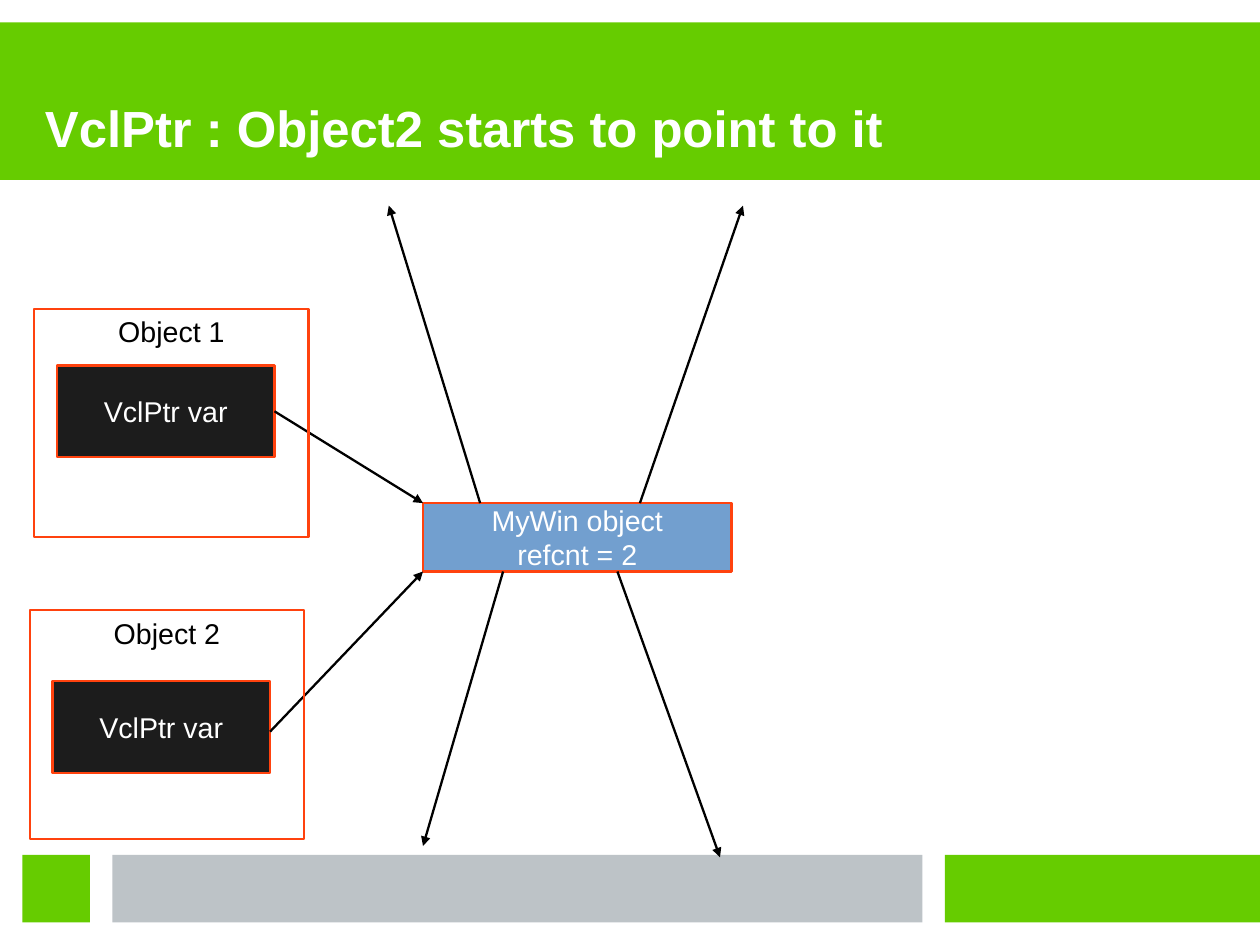
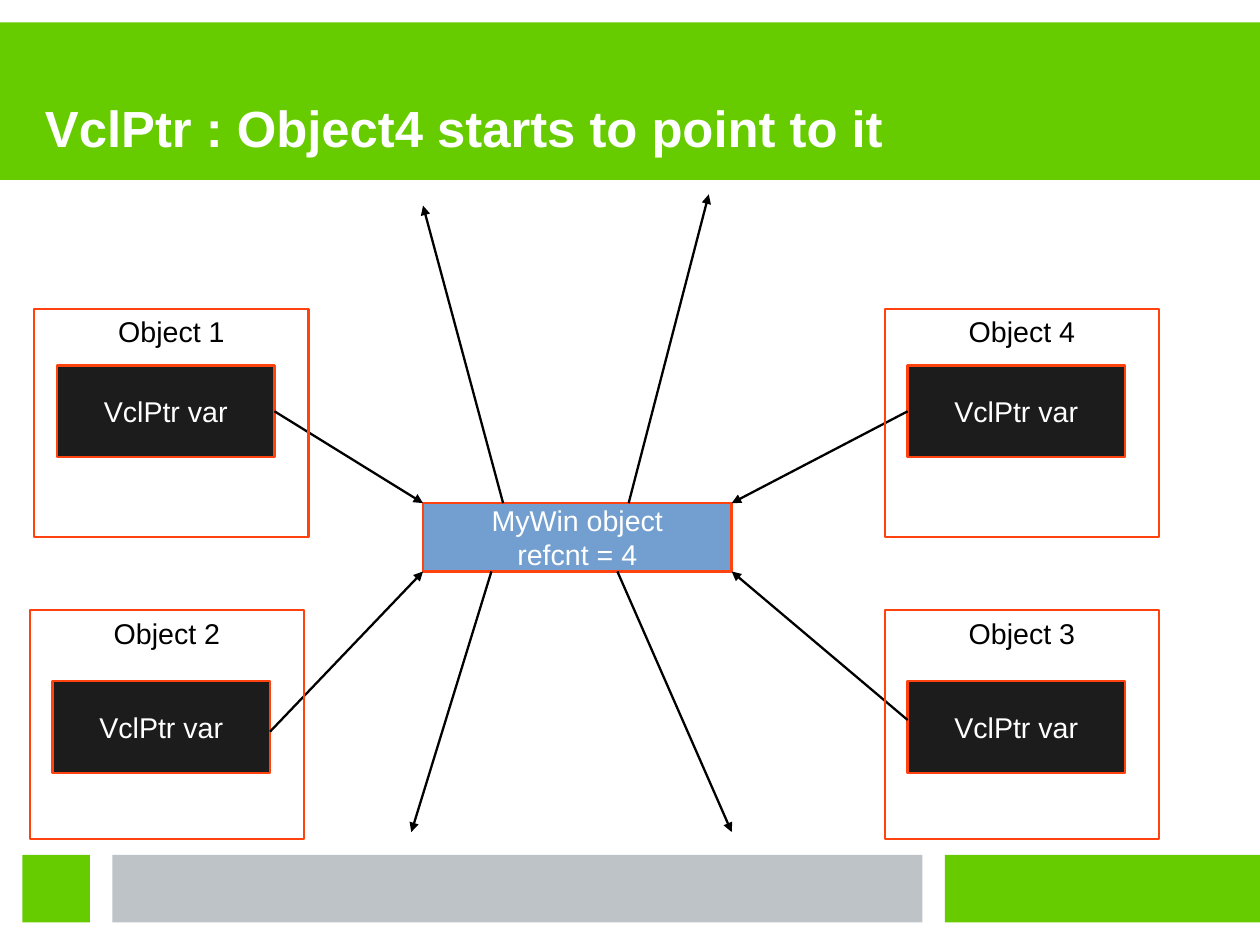
from lxml import etree
from pptx import Presentation
from pptx import util as u
from pptx.dml.color import RGBColor
from pptx.enum import shapes, text
from pptx.oxml.ns import qn

PX = 3600  # one tenth of a millimetre in EMU
COLORS = {"green": "66CC00", "grey": "BDC3C7", "blue": "729FCF", "dark": "1C1C1C",
          "orange": "FF420E", "white": "FFFFFF", "black": "000000"}
RGB = {name: RGBColor.from_string(value) for name, value in COLORS.items()}
LINE_WIDTH = u.Pt(1.45)

BANDS = [(0, 50, 2800, 350, "green"), (2100, 1900, 700, 150, "green"),
         (250, 1900, 1800, 150, "grey"), (50, 1900, 150, 150, "green")]
WIN = (940, 1118, 686, 152)
FRAME_SIZE = (610, 508)
VAR_SIZE = (483, 204)
VAR_INDENT = 51

# name: frame left, frame top, variable top, pointer start y, pointer end
OBJECTS = {
    "Object 1": (76, 686, 812, 914, (940, 1118)),
    "Object 2": (66, 1356, 1514, 1626, (940, 1270)),
    "Object 3": (1966, 1356, 1514, 1600, (1626, 1270)),
    "Object 4": (1966, 686, 812, 914, (1626, 1118)),
}
SLIDES = [
    {"title": "VclPtr : Object2 starts to point to it",
     "objects": ["Object 1", "Object 2"],
     "rays": [(1067, 1118, 864, 457), (1422, 1118, 1651, 457),
              (1118, 1270, 940, 1880), (1372, 1270, 1600, 1905)]},
    {"title": "VclPtr : Object4 starts to point to it",
     "objects": ["Object 1", "Object 2", "Object 3", "Object 4"],
     "rays": [(1118, 1118, 940, 457), (1397, 1118, 1575, 432),
              (1092, 1270, 914, 1849), (1372, 1270, 1626, 1849)]},
]


def add_box(page, place, fill=None, lines=(), color="white", anchor="MIDDLE", outline="orange"):
    box = page.shapes.add_shape(shapes.MSO_SHAPE.RECTANGLE, *(n * PX for n in place))
    box.shadow.inherit = False
    if fill:
        box.fill.solid()
        box.fill.fore_color.rgb = RGB[fill]
    else:
        box.fill.background()
    if outline:
        box.line.color.rgb = RGB[outline]
        box.line.width = LINE_WIDTH
    else:
        box.line.fill.background()
    frame = box.text_frame
    frame.word_wrap = False
    frame.vertical_anchor = text.MSO_ANCHOR[anchor]
    for i, line in enumerate(lines):
        para = frame.add_paragraph() if i else frame.paragraphs[0]
        para.alignment = text.PP_ALIGN.CENTER
        span = para.add_run()
        span.text = line
        for key, value in {"name": "Arial", "size": u.Pt(18)}.items():
            setattr(span.font, key, value)
        span.font.color.rgb = RGB[color]
    return box


def add_arrow(page, *ends):
    arrow = page.shapes.add_connector(shapes.MSO_CONNECTOR.STRAIGHT, *(n * PX for n in ends))
    arrow.line.color.rgb = RGB["black"]
    arrow.line.width = LINE_WIDTH
    outline = arrow.element.spPr.find(qn("a:ln"))
    etree.SubElement(outline, qn("a:tailEnd"), type="triangle")
    etree.SubElement(arrow.element.spPr, qn("a:effectLst"))
    return arrow


deck = Presentation()
deck.slide_width, deck.slide_height = 2800 * PX, 2100 * PX
layout = deck.slide_layouts[5]
pages = [deck.slides.add_slide(layout) for _ in SLIDES]

# The bands belong to the layout, behind its placeholders
for position, (*place, fill) in enumerate(BANDS, start=2):
    band = add_box(pages[0], place, fill, outline=None)
    layout.shapes.element.insert(position, band.element)

for page, content in zip(pages, SLIDES):
    title = page.shapes.title
    for key, value in {"left": 100, "top": 100, "width": 2600, "height": 250}.items():
        setattr(title, key, value * PX)
    frame = title.text_frame
    frame_format = {"margin_left": 0, "margin_top": 0, "margin_right": 0, "margin_bottom": 0,
                    "vertical_anchor": text.MSO_ANCHOR.BOTTOM, "word_wrap": True,
                    "auto_size": text.MSO_AUTO_SIZE.NONE}
    for key, value in frame_format.items():
        setattr(frame, key, value)
    para = frame.paragraphs[0]
    para.alignment = text.PP_ALIGN.LEFT
    span = para.add_run()
    span.text = content["title"]
    for key, value in {"name": "Arial", "size": u.Pt(32), "bold": True}.items():
        setattr(span.font, key, value)
    span.font.color.rgb = RGB["white"]

    count = len(content["objects"])
    add_box(page, WIN, "blue", ["MyWin object", f"refcnt = {count}"])

    for name in content["objects"]:
        left, top, var_top, start_y, end = OBJECTS[name]
        var_left = left + VAR_INDENT
        var = add_box(page, (var_left, var_top, *VAR_SIZE), "dark", ["VclPtr var"])
        on_left = left < WIN[0]
        start_x = var_left + VAR_SIZE[0] if on_left else var_left
        pointer = add_arrow(page, start_x, start_y, *end)
        if start_y == var_top + VAR_SIZE[1] // 2:
            pointer.begin_connect(var, 3 if on_left else 1)
        add_box(page, (left, top, *FRAME_SIZE), None, [name], "black", "TOP")

    for ray in content["rays"]:
        add_arrow(page, *ray)

deck.save("out.pptx")
